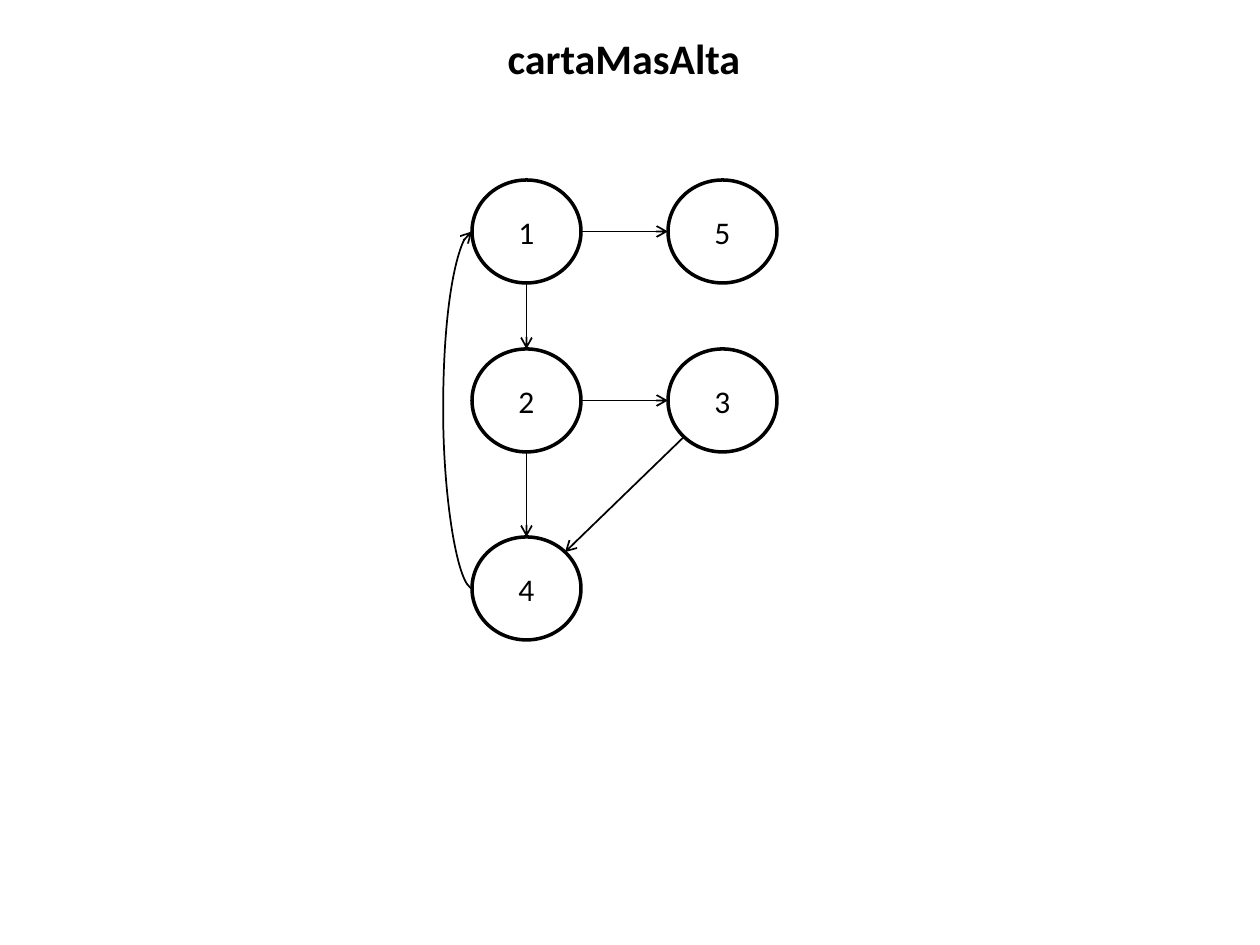
from math import sqrt

from lxml.etree import SubElement
from pptx import Presentation
from pptx.dml.color import RGBColor
from pptx.enum.shapes import MSO_CONNECTOR as LINK, MSO_SHAPE as SHAPE
from pptx.enum.text import MSO_ANCHOR as ANCHOR, MSO_AUTO_SIZE as FIT, PP_ALIGN as ALIGN
from pptx.oxml.ns import qn
from pptx.util import Pt

SCALE = 914400 / 126
BLACK = RGBColor(0, 0, 0)
WIDE, HIGH = 109, 103
COLS = (472, 668)
ROWS = (180, 349, 537)
NODES = {"1": (0, 0), "5": (1, 0), "2": (0, 1), "3": (1, 1), "4": (0, 2)}
DIAG = 1 / sqrt(2)
LEFT, RIGHT, UP, DOWN = (-1, 0), (1, 0), (0, -1), (0, 1)
ARROWS = (
    ("1", DOWN, "2", UP),
    ("1", RIGHT, "5", LEFT),
    ("2", RIGHT, "3", LEFT),
    ("2", DOWN, "4", UP),
    ("3", (-DIAG, DIAG), "4", (DIAG, -DIAG)),
)
BULGE = 30


def px(*sizes):
    return [round(size * SCALE) for size in sizes]


def style(item, **values):
    for name, value in values.items():
        setattr(item, name, value)


def write(shape, text, size, anchor, bold=False):
    frame = shape.text_frame
    style(frame, text=text, word_wrap=True, auto_size=FIT.NONE, vertical_anchor=anchor)
    line = frame.paragraphs[0]
    line.alignment = ALIGN.CENTER
    font = line.runs[0].font
    style(font, name="Calibri", size=Pt(size), bold=bold)
    font.color.rgb = BLACK


def add_title(slide, text):
    title = slide.shapes.title
    left, top, width, height = px(132, 26, 984, 63)
    style(title, left=left, top=top, width=width, height=height)
    write(title, text, 24, ANCHOR.TOP, True)


def add_node(slide, text, col, row):
    node = slide.shapes.add_shape(SHAPE.OVAL, *px(COLS[col], ROWS[row], WIDE, HIGH))
    node.shadow.inherit = False
    node.fill.background()
    node.line.color.rgb = BLACK
    node.line.width = Pt(2)
    write(node, text, 18, ANCHOR.MIDDLE)


def edge(name, side):
    col, row = NODES[name]
    return (COLS[col] + WIDE / 2 * (1 + side[0]),
            ROWS[row] + HIGH / 2 * (1 + side[1]))


def add_arrow(slide, kind, start, end):
    arrow = slide.shapes.add_connector(kind, *px(*start, *end))
    arrow.line.color.rgb = BLACK
    arrow.line.width = Pt(1)
    props = arrow.line._get_or_add_ln()
    SubElement(props, qn("a:tailEnd"), type="arrow")
    SubElement(arrow._element.spPr, qn("a:effectLst"))
    return arrow


def add_loop(slide, start, end):
    x, y = start
    loop = add_arrow(slide, LINK.CURVE, (x + 1, y), end)
    geom = loop._element.spPr.find(qn("a:prstGeom"))
    guides = geom.find(qn("a:avLst"))
    if guides is None:
        guides = SubElement(geom, qn("a:avLst"))
    SubElement(guides, qn("a:gd"), name="adj1", fmla=f"val {BULGE * 100000}")


def main():
    deck = Presentation()
    deck.slide_width, deck.slide_height = px(1260, 945)
    slide = deck.slides.add_slide(deck.slide_layouts[5])
    add_title(slide, "cartaMasAlta")
    for name, (col, row) in NODES.items():
        add_node(slide, name, col, row)
    for first, out, last, into in ARROWS:
        add_arrow(slide, LINK.STRAIGHT, edge(first, out), edge(last, into))
    add_loop(slide, edge("4", LEFT), edge("1", LEFT))
    deck.save("out.pptx")


if __name__ == "__main__":
    main()
